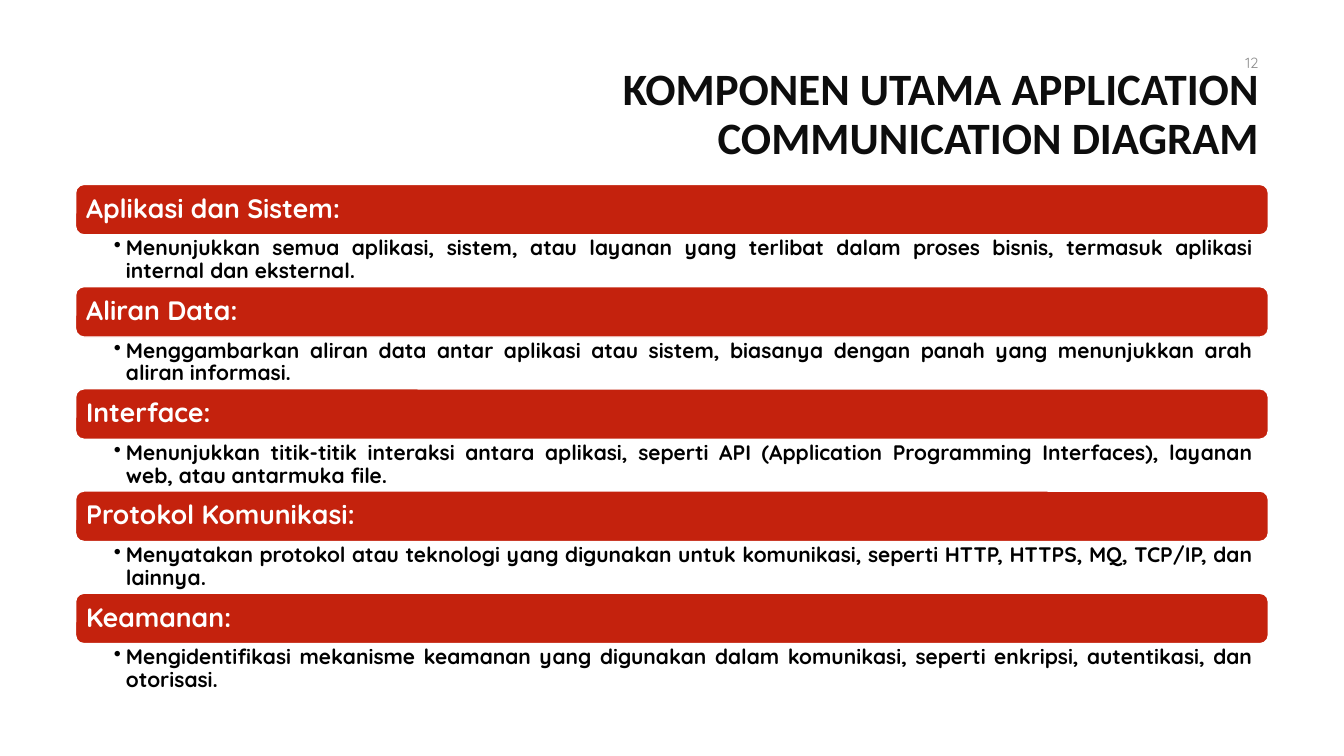
from lxml import etree
from pptx import Presentation
from pptx.dml.color import RGBColor
from pptx.enum import shapes, text
from pptx.oxml.ns import qn
from pptx.util import Inches, Pt

RED = RGBColor(0xC4, 0x22, 0x0D)
WHITE = RGBColor(0xFF, 0xFF, 0xFF)
BLACK = RGBColor(0, 0, 0)
TITLE_COLOR = RGBColor(0x0D, 0x0D, 0x0D)
GRAY = RGBColor(0x8C, 0x8C, 0x8C)

BAR_HEIGHT = 0.5
COMPONENTS = [
    ("Aplikasi dan Sistem:",
     "Menunjukkan semua aplikasi, sistem, atau layanan yang terlibat dalam proses bisnis, "
     "termasuk aplikasi internal dan eksternal."),
    ("Aliran Data:",
     "Menggambarkan aliran data antar aplikasi atau sistem, biasanya dengan panah yang "
     "menunjukkan arah aliran informasi."),
    ("Interface:",
     "Menunjukkan titik-titik interaksi antara aplikasi, seperti API (Application Programming "
     "Interfaces), layanan web, atau antarmuka file."),
    ("Protokol Komunikasi:",
     "Menyatakan protokol atau teknologi yang digunakan untuk komunikasi, seperti HTTP, HTTPS, "
     "MQ, TCP/IP, dan lainnya."),
    ("Keamanan:",
     "Mengidentifikasi mekanisme keamanan yang digunakan dalam komunikasi, seperti enkripsi, "
     "autentikasi, dan otorisasi."),
]


def write_text(shape, content, size, color, font="Quicksand", bold=True,
               align=text.PP_ALIGN.JUSTIFY, anchor=text.MSO_ANCHOR.MIDDLE,
               insets=(0.1, 0.05, 0.1, 0.05), spacing=0.9, bullet_indent=None):
    """Fill a shape with one formatted paragraph; insets run left, top, right, bottom."""
    frame = shape.text_frame
    frame.word_wrap = True
    frame.auto_size = text.MSO_AUTO_SIZE.NONE
    frame.vertical_anchor = anchor
    (frame.margin_left, frame.margin_top,
     frame.margin_right, frame.margin_bottom) = map(Inches, insets)
    paragraph = frame.paragraphs[0]
    paragraph.alignment = align
    paragraph.line_spacing = spacing
    if bullet_indent:
        properties = paragraph._p.get_or_add_pPr()
        properties.set("marL", str(Inches(bullet_indent)))
        properties.set("indent", str(-Inches(bullet_indent)))
        etree.SubElement(properties, qn("a:buChar")).set("char", "•")
    run = paragraph.add_run()
    run.text = content
    run.font.name = font
    run.font.size = Pt(size)
    run.font.bold = bold
    run.font.color.rgb = color


def add_title(slide, left, top, width, height):
    title = slide.shapes.title
    title.left, title.top = Inches(left), Inches(top)
    title.width, title.height = Inches(width), Inches(height)
    write_text(title, "KOMPONEN UTAMA APPLICATION COMMUNICATION DIAGRAM", 32, TITLE_COLOR,
               font="Calibri", align=text.PP_ALIGN.RIGHT)


def add_page_number(slide, left, top, width, height):
    box = slide.shapes.add_textbox(Inches(left), Inches(top), Inches(width), Inches(height))
    write_text(box, "12", 10.5, GRAY, bold=False, align=text.PP_ALIGN.RIGHT, spacing=1.0)


def add_component(slide, heading, description, left, top, width, height):
    """Place a red heading bar with its bulleted description below."""
    bar = slide.shapes.add_shape(shapes.MSO_SHAPE.ROUNDED_RECTANGLE, Inches(left), Inches(top),
                                 Inches(width), Inches(BAR_HEIGHT))
    bar.shadow.inherit = False
    bar.fill.solid()
    bar.fill.fore_color.rgb = RED
    bar.line.color.rgb = WHITE
    bar.line.width = Pt(1)
    write_text(bar, heading, 19, WHITE, insets=(0.08, 0.08, 0.08, 0.08))

    body = slide.shapes.add_textbox(Inches(left), Inches(top + BAR_HEIGHT),
                                    Inches(width), Inches(height - BAR_HEIGHT))
    write_text(body, description, 15, BLACK, anchor=text.MSO_ANCHOR.TOP,
               insets=(0.38, 0.03, 0.15, 0.03), bullet_indent=0.12)


def add_component_list(slide, left, top, width, height):
    pitch = height / len(COMPONENTS)
    for index, (heading, description) in enumerate(COMPONENTS):
        add_component(slide, heading, description, left, top + index * pitch, width, pitch)


def main():
    presentation = Presentation()
    presentation.slide_width = Inches(13.33)
    presentation.slide_height = Inches(7.5)
    slide = presentation.slides.add_slide(presentation.slide_layouts.get_by_name("Title Only"))
    add_title(slide, 3.17, 0.44, 9.42, 1.41)
    add_component_list(slide, 0.75, 1.83, 11.83, 5.07)
    add_page_number(slide, 9.58, 0.42, 3, 0.4)
    presentation.save("out.pptx")


if __name__ == "__main__":
    main()
